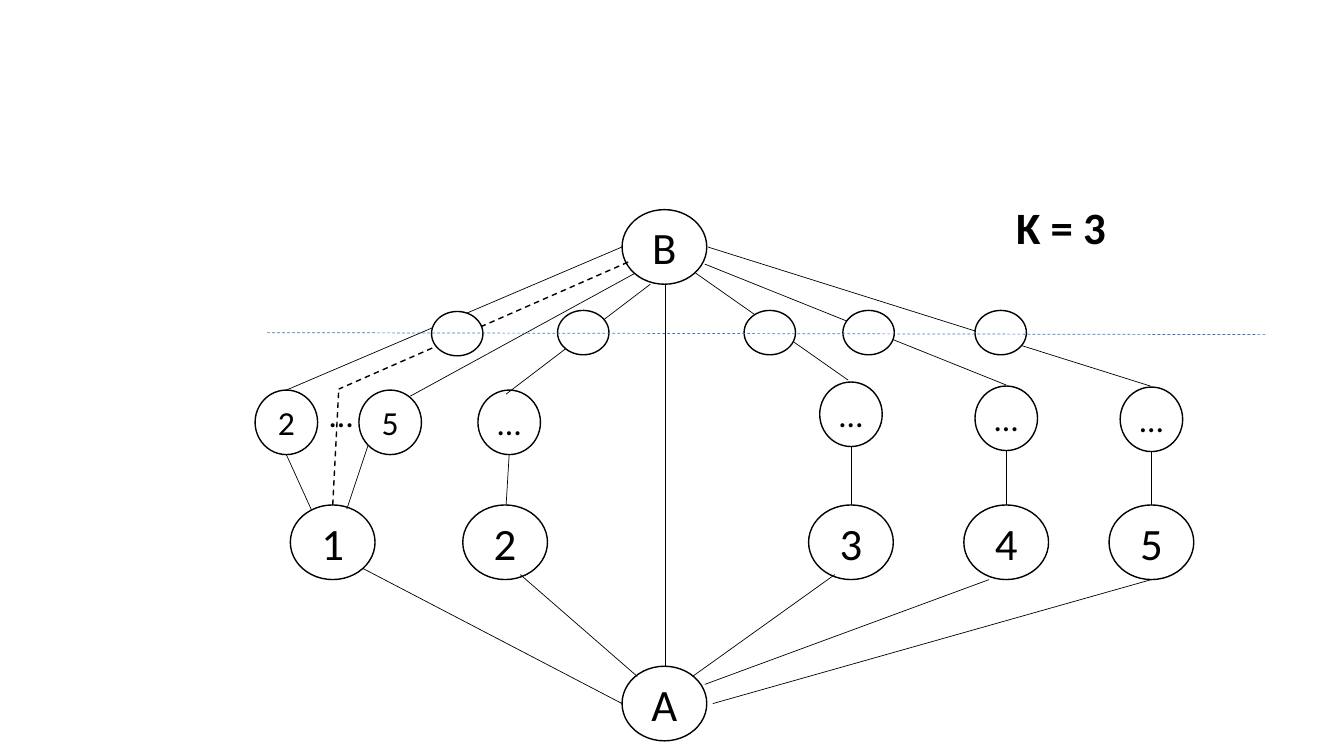
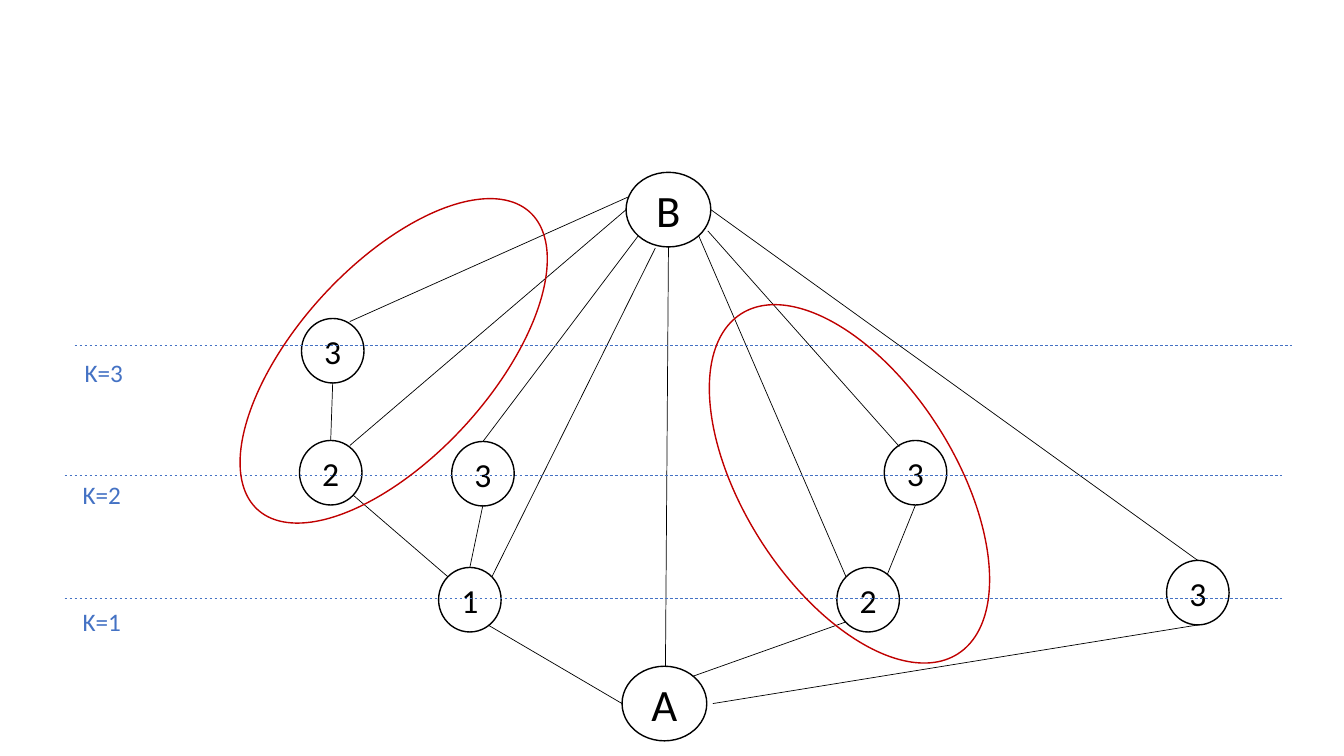
from dataclasses import dataclass
from typing import Optional

import pptx
import pptx.dml.color
import pptx.enum.dml
import pptx.enum.shapes
import pptx.enum.text
import pptx.oxml
import pptx.shapes.autoshape
import pptx.slide
import pptx.util

Inches = pptx.util.Inches
Pt = pptx.util.Pt
FONT = "Calibri"
BLACK, WHITE, BLUE, RED = "000000", "FFFFFF", "4472C4", "C00000"


@dataclass(frozen=True)
class Kind:
    width: float
    height: float
    size: int
    fill: Optional[str] = None


@dataclass(frozen=True)
class Node:
    kind: Kind
    left: float
    top: float
    text: str = ""


@dataclass(frozen=True)
class Edge:
    x1: float
    y1: float
    x2: float
    y2: float
    width: float = 0.5
    color: str = BLACK
    dash: bool = False


@dataclass(frozen=True)
class Label:
    left: float
    top: float
    width: float
    height: float
    text: str
    size: int
    color: str = BLACK
    bold: bool = False


@dataclass(frozen=True)
class Ring:
    left: float
    top: float
    width: float
    height: float
    turn: float


BIG = Kind(0.84, 0.74, 32)
MID = Kind(0.62, 0.64, 24)
DOT = Kind(0.51, 0.44, 18, WHITE)


def paint(code: str) -> pptx.dml.color.RGBColor:
    return pptx.dml.color.RGBColor.from_string(code)


def style(para, size: int, color: str, bold: bool = False) -> None:
    para.font.name = FONT
    para.font.size = Pt(size)
    para.font.bold = bold
    para.font.color.rgb = paint(color)


def oval(slide: pptx.slide.Slide, left: float, top: float, width: float, height: float,
         color: str, fill: Optional[str] = None) -> pptx.shapes.autoshape.Shape:
    shape = slide.shapes.add_shape(
        pptx.enum.shapes.MSO_SHAPE.OVAL,
        Inches(left), Inches(top), Inches(width), Inches(height))
    shape.shadow.inherit = False
    if fill:
        shape.fill.solid()
        shape.fill.fore_color.rgb = paint(fill)
    else:
        shape.fill.background()
    shape.line.color.rgb = paint(color)
    shape.line.width = Pt(1)
    return shape


def draw_node(slide: pptx.slide.Slide, node: Node) -> None:
    kind = node.kind
    shape = oval(slide, node.left, node.top, kind.width, kind.height, BLACK, kind.fill)
    if not node.text:
        return
    frame = shape.text_frame
    frame.margin_left = frame.margin_right = frame.margin_top = frame.margin_bottom = 0
    frame.word_wrap = False
    frame.vertical_anchor = pptx.enum.text.MSO_ANCHOR.MIDDLE
    para = frame.paragraphs[0]
    para.text = node.text
    para.alignment = pptx.enum.text.PP_ALIGN.CENTER
    style(para, kind.size, BLACK)


def draw_edge(slide: pptx.slide.Slide, edge: Edge) -> None:
    link = slide.shapes.add_connector(
        pptx.enum.shapes.MSO_CONNECTOR.STRAIGHT,
        Inches(edge.x1), Inches(edge.y1), Inches(edge.x2), Inches(edge.y2))
    link.line.color.rgb = paint(edge.color)
    link.line.width = Pt(edge.width)
    if edge.dash:
        link.line.dash_style = pptx.enum.dml.MSO_LINE.DASH
    props = link._element.spPr
    props.append(props.makeelement(pptx.oxml.ns.qn("a:effectLst"), {}))


def draw_label(slide: pptx.slide.Slide, label: Label) -> None:
    box = slide.shapes.add_textbox(
        Inches(label.left), Inches(label.top), Inches(label.width), Inches(label.height))
    box.text_frame.word_wrap = True
    para = box.text_frame.paragraphs[0]
    para.text = label.text
    style(para, label.size, label.color, label.bold)


def draw_ring(slide: pptx.slide.Slide, ring: Ring) -> None:
    shape = oval(slide, ring.left, ring.top, ring.width, ring.height, RED)
    shape.rotation = ring.turn


def level(left: float, y1: float, right: float, y2: float) -> Edge:
    return Edge(left, y1, right, y2, color=BLUE, dash=True)


def build(deck, edges: list[Edge], nodes: list[Node], levels: list[Edge],
          labels: list[Label], rings: list[Ring]) -> None:
    slide = deck.slides.add_slide(deck.slide_layouts[6])
    for draw, items in ((draw_edge, edges), (draw_node, nodes), (draw_edge, levels),
                        (draw_label, labels), (draw_ring, rings)):
        for item in items:
            draw(slide, item)


ROOT = Node(BIG, 6.17, 6.61, "A")


def paths(deck) -> None:
    base = [Node(BIG, left, 5.01, str(index))
            for index, left in enumerate((2.88, 4.59, 8.02, 9.56, 11), 1)]
    mids = [Node(MID, left, top, text) for left, top, text in (
        (2.53, 3.87, "2"), (3.56, 3.87, "5"), (4.74, 3.87, "…"),
        (8.13, 3.79, "…"), (9.67, 3.83, "…"), (11.11, 3.84, "…"))]
    dots = [Node(DOT, left, top) for left, top in (
        (4.28, 3.09), (5.53, 3.08), (7.38, 3.08), (8.36, 3.08), (9.67, 3.08))]
    edges = [Edge(*ends) for ends in (
        (6.6, 6.61, 6.6, 2.82),
        (6.32, 6.71, 5.16, 5.7), (6.17, 6.98, 3.6, 5.64), (6.87, 6.71, 8.28, 5.7),
        (6.99, 6.79, 9.81, 5.75), (7.07, 6.98, 11.42, 5.75),
        (3.09, 5.06, 2.84, 4.51), (3.44, 5.05, 3.65, 4.42), (5.02, 5.01, 5.05, 4.51),
        (8.44, 4.43, 8.44, 5.01), (9.98, 4.47, 9.98, 5.01), (11.42, 4.48, 11.42, 5.01),
        (6.17, 2.45, 2.84, 3.87), (6.3, 2.71, 4.07, 3.93), (6.45, 2.82, 5.02, 3.91),
        (8.41, 3.77, 6.9, 2.71), (9.98, 3.82, 6.99, 2.62), (11.41, 3.83, 7.02, 2.45))]
    edges += [Edge(x, y, 3.36, 3.86, width=1, dash=True)
              for x, y in ((3.3, 5.01), (6.23, 2.6))]
    labels = [Label(3.17, 3.86, 0.38, 0.5, "…", 24),
              Label(9.98, 1.93, 3, 0.64, "K = 3", 32, bold=True)]
    build(deck, edges, [ROOT, Node(BIG, 6.17, 2.08, "B"), *base, *mids, *dots],
          [level(2.65, 3.3, 12.55, 3.32)], labels, [])


def levels(deck) -> None:
    nodes = [Node(MID, left, top, text) for left, top, text in (
        (2.99, 3.16, "3"), (2.97, 4.37, "2"), (4.48, 4.38, "3"), (8.77, 4.37, "3"),
        (4.35, 5.63, "1"), (8.3, 5.63, "2"), (11.57, 5.56, "3"))]
    edges = [Edge(*ends) for ends in (
        (6.6, 6.61, 6.63, 2.45),
        (6.17, 6.98, 4.84, 6.2), (6.87, 6.71, 8.39, 6.17), (7.07, 6.98, 11.88, 6.2),
        (4.44, 5.72, 3.5, 4.91), (4.66, 5.63, 4.79, 5.01),
        (8.8, 5.7, 9.08, 5.01), (3.3, 3.79, 3.28, 4.37),
        (8.39, 5.72, 6.93, 2.34), (8.92, 4.43, 7.02, 2.29), (11.88, 5.56, 7.05, 2.08),
        (6.24, 1.95, 3.47, 3.19), (6.21, 2.08, 3.47, 4.42),
        (6.33, 2.34, 4.79, 4.38), (6.5, 2.46, 4.88, 5.72))]
    lines = [level(left, y, right, y) for left, right, y in (
        (0.64, 12.72, 5.94), (0.64, 12.72, 4.72), (0.74, 12.81, 3.43))]
    labels = [Label(left, top, 0.71, 0.4, f"K={rank}", 18, BLUE)
              for rank, left, top in ((3, 0.74, 3.5), (2, 0.72, 4.71), (1, 0.72, 5.97))]
    rings = [Ring(2.95, 1.58, 1.91, 4, 222.5), Ring(7.38, 2.8, 2.09, 4, 147.5)]
    build(deck, edges, [ROOT, Node(BIG, 6.21, 1.71, "B"), *nodes], lines, labels, rings)


def main() -> None:
    deck = pptx.Presentation()
    deck.slide_width = Inches(13.33)
    deck.slide_height = Inches(7.5)
    paths(deck)
    levels(deck)
    deck.save("out.pptx")


if __name__ == "__main__":
    main()
